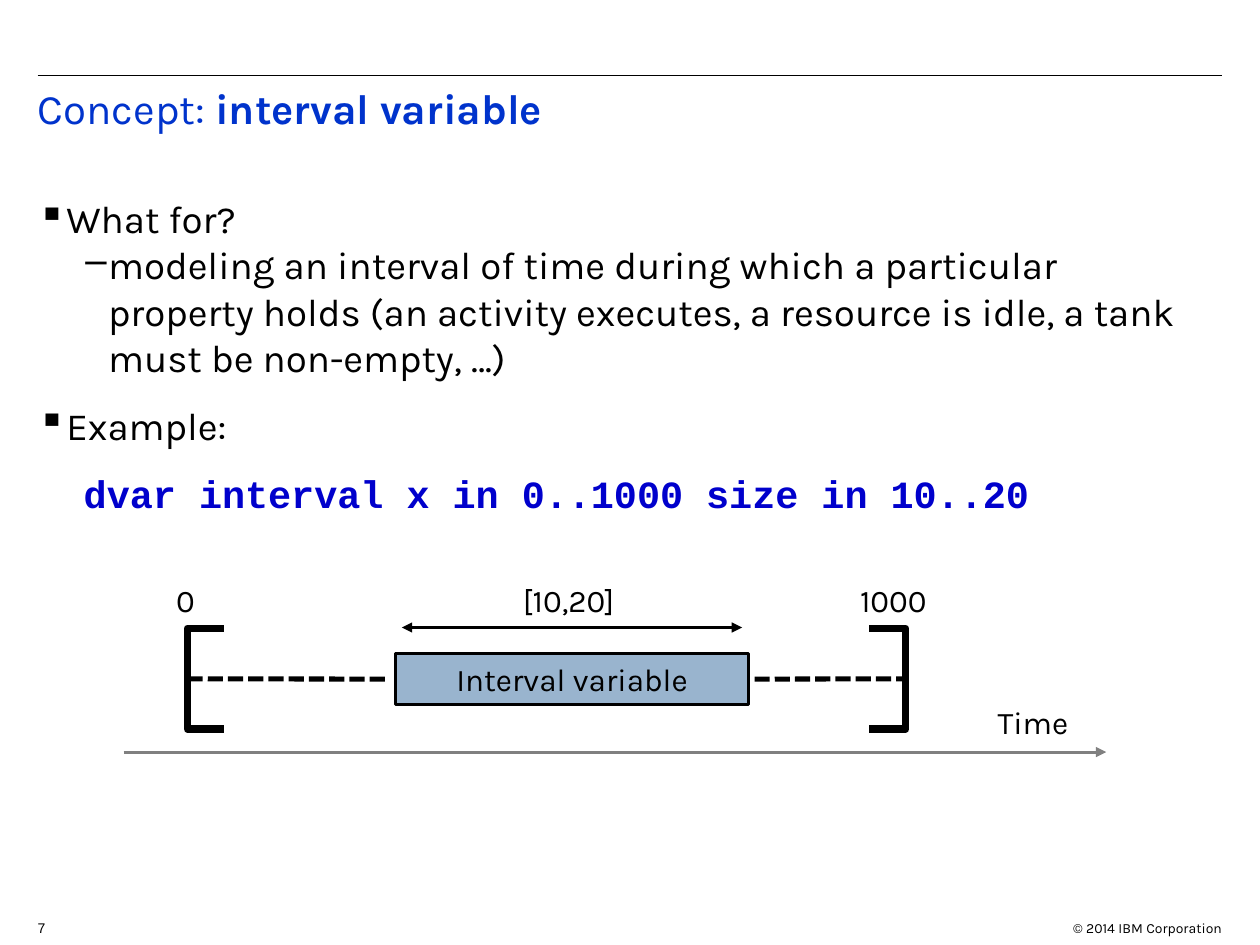
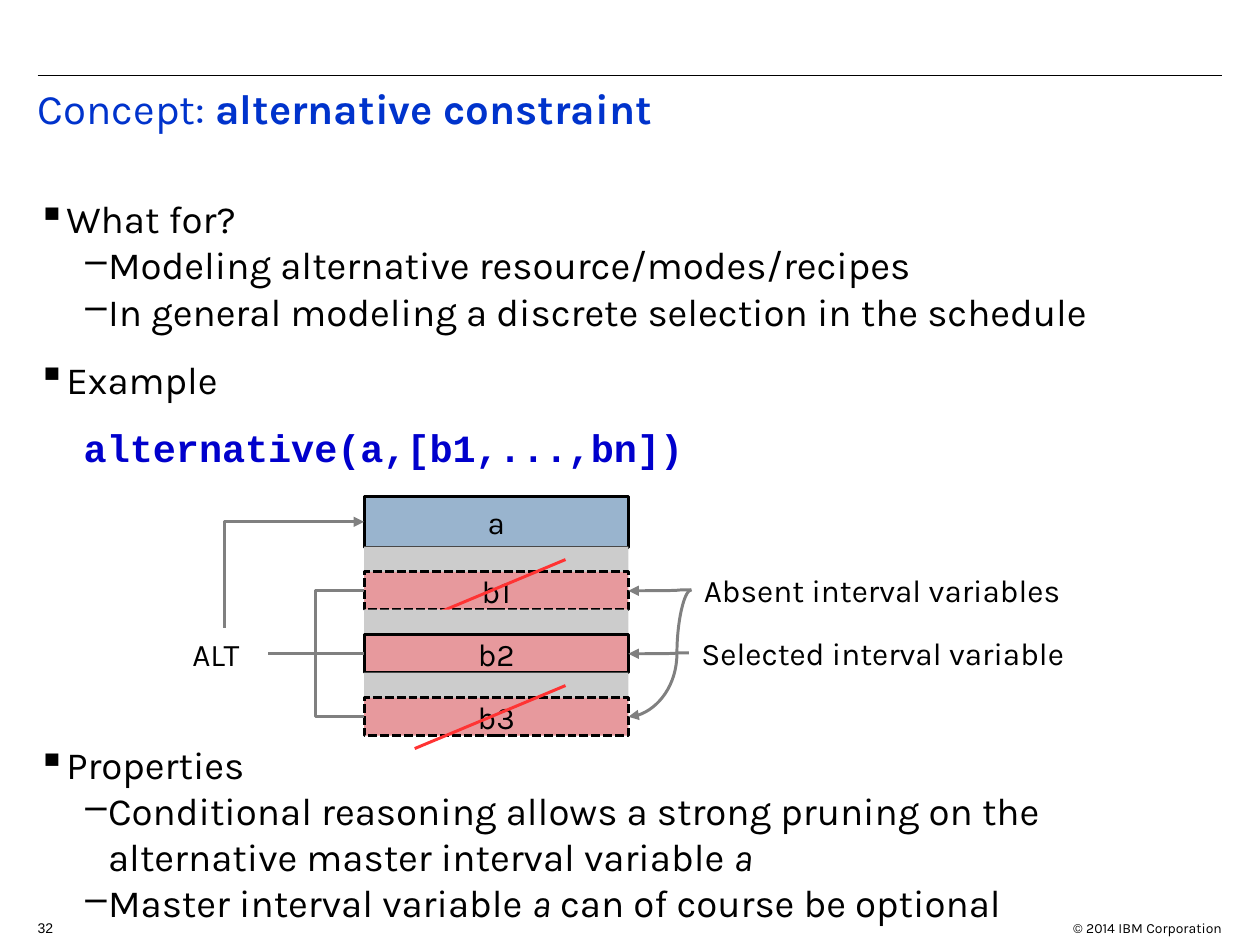
from dataclasses import dataclass

from lxml.etree import SubElement
from pptx import Presentation
from pptx.dml.color import RGBColor as Rgb
from pptx.enum.dml import MSO_LINE as Dash
from pptx.enum.shapes import MSO_CONNECTOR as Link, MSO_SHAPE as Preset
from pptx.enum.text import MSO_ANCHOR as Anchor, MSO_AUTO_SIZE as Fit, PP_ALIGN as Align
from pptx.oxml.ns import qn
from pptx.util import Cm, Pt


@dataclass(frozen=True)
class Theme:
    font: str = "Karla"
    number_font: str = "Arial"
    code_font: str = "Courier New"
    black: str = "000000"
    white: str = "FFFFFF"
    title: str = "0033CC"
    code: str = "0000CC"
    gray: str = "808080"
    band: str = "CCCCCC"
    blue: str = "004586"
    red: str = "C5000B"
    strike: str = "FF3333"
    title_size: float = 24
    body_size: float = 22
    label_size: float = 18
    footer_size: float = 8
    thin: float = 0.75
    line: float = 1.7
    dashes: float = 2.89
    bracket: float = 4.31


theme = Theme()


def draw_box(page, left, top, width, height, text="", fill=None, alpha=100, line=None,
             weight=theme.line, size=theme.label_size, font=theme.font, align=Align.LEFT):
    """Add a text box, or a rectangle when a fill is given."""
    area = Cm(left), Cm(top), Cm(width), Cm(height)
    if fill is None:
        box = page.shapes.add_textbox(*area)
    else:
        box = page.shapes.add_shape(Preset.RECTANGLE, *area)
        box.shadow.inherit = False
        box.fill.solid()
        box.fill.fore_color.rgb = Rgb.from_string(fill)
        if alpha < 100:
            color = box.element.spPr.find(".//" + qn("a:srgbClr"))
            SubElement(color, qn("a:alpha"), val=str(alpha * 1000))
        if line:
            box.line.color.rgb = Rgb.from_string(line)
            box.line.width = Pt(weight)
        else:
            box.line.fill.background()
        box.text_frame.vertical_anchor = Anchor.MIDDLE
        align = Align.CENTER
    box.text_frame.word_wrap = True
    if text:
        box.text_frame.text = text
        para = box.text_frame.paragraphs[0]
        para.alignment = align
        para.font.size = Pt(size)
        para.font.name = font
        para.font.color.rgb = Rgb.from_string(theme.black)
    return box


def draw_line(page, start, end, color=theme.black, weight=theme.line, kind=Link.STRAIGHT,
              dash=None, head=False, tail=False, bend=None, preset=None):
    """Add a connector; head and tail put arrowheads at its start and end."""
    link = page.shapes.add_connector(kind, Cm(start[0]), Cm(start[1]), Cm(end[0]), Cm(end[1]))
    link.line.color.rgb = Rgb.from_string(color)
    link.line.width = Pt(weight)
    if dash:
        link.line.dash_style = dash
    properties = link.element.spPr
    for wanted, tag in ((head, "a:headEnd"), (tail, "a:tailEnd")):
        if wanted:
            SubElement(properties.find(qn("a:ln")), qn(tag), type="triangle")
    SubElement(properties, qn("a:effectLst"))
    geometry = properties.find(qn("a:prstGeom"))
    if preset:
        geometry.set("prst", preset)
    if bend is not None:
        SubElement(geometry.find(qn("a:avLst")), qn("a:gd"), name="adj1",
                   fmla=f"val {round(bend * 100000)}")
    return link


# Text of the pages: number, title, then blocks of (top, height, paragraphs).
# Asterisks mark the emphasised words.
contents = [
    ("7", "Concept: *interval variable*", [
        (3.81, 6.8, [
            ("point", "What for?"),
            ("detail", "modeling an interval of time during which a particular property holds "
                       "(an activity executes, a resource is idle, a tank must be non-empty, …)"),
            ("point", "Example:"),
            ("code", "  dvar interval x in 0..1000 size in 10..20")])]),
    ("32", "Concept: *alternative constraint*", [
        (3.81, 5.8, [
            ("point", "What for?"),
            ("detail", "Modeling alternative resource/modes/recipes"),
            ("detail", "In general modeling a discrete selection in the schedule"),
            ("point", "Example"),
            ("code", "  alternative(a,[b1,...,bn])")]),
        (14.81, 3.9, [
            ("point", "Properties"),
            ("detail", "Conditional reasoning allows a strong pruning on the alternative "
                       "master interval variable *a*"),
            ("detail", "Master interval variable *a* can of course be optional")])]),
]
# Bullet sign, left margin, hanging indent
bullets = {"point": ("▪", 0.48, -0.48), "detail": ("–", 1.42, -0.46)}

deck = Presentation()
deck.slide_width, deck.slide_height = Cm(25.4), Cm(19.05)
pages = []

for number, heading, blocks in contents:
    page = deck.slides.add_slide(deck.slide_layouts[5])
    pages.append(page)

    # Rule, copyright line and page number
    draw_line(page, (0.76, 1.52), (24.64, 1.52), weight=theme.thin)
    draw_box(page, 21.08, 18.42, 3.81, 0.51, "© 2014 IBM Corporation",
             size=theme.footer_size, align=Align.RIGHT)
    draw_box(page, 0.51, 18.42, 1.02, 0.58, number,
             size=theme.footer_size, font=theme.number_font)

    # Title
    title = page.shapes.title
    title.left, title.top, title.width, title.height = Cm(0.51), Cm(1.65), Cm(24.89), Cm(1.78)
    frame = title.text_frame
    frame.auto_size = Fit.NONE
    frame.vertical_anchor = Anchor.TOP
    para = frame.paragraphs[0]
    para.alignment = Align.LEFT
    para.line_spacing = 0.9
    for index, part in enumerate(heading.strip("*").split("*")):
        span = para.add_run()
        span.text = part
        span.font.bold = index % 2 == 1
        span.font.size = Pt(theme.title_size)
        span.font.name = theme.font
        span.font.color.rgb = Rgb.from_string(theme.title)

    # Bulleted text
    for top, height, lines in blocks:
        frame = draw_box(page, 0.51, top, 23.62, height).text_frame
        for row, (style, text) in enumerate(lines):
            para = frame.add_paragraph() if row else frame.paragraphs[0]
            if style in bullets:
                sign, margin, indent = bullets[style]
                settings = para._p.get_or_add_pPr()
                settings.set("marL", str(Cm(margin)))
                settings.set("indent", str(Cm(indent)))
                color = SubElement(settings, qn("a:buClr"))
                SubElement(color, qn("a:srgbClr"), val=theme.black)
                SubElement(settings, qn("a:buChar"), char=sign)
            if row and style != "detail":
                para.space_before = Pt(12.5)
            is_code = style == "code"
            for index, part in enumerate(text.split("*")):
                if part:
                    span = para.add_run()
                    span.text = part
                    span.font.size = Pt(theme.body_size)
                    span.font.bold = is_code
                    span.font.italic = index % 2 == 1
                    span.font.name = theme.code_font if is_code else theme.font
                    span.font.color.rgb = Rgb.from_string(theme.code if is_code else theme.black)

interval_page, alternative_page = pages

# Interval variable: time axis and labels
draw_line(interval_page, (2.49, 15.16), (22.3, 15.16), theme.gray, tail=True)
for left, top, text in ((3.3, 11.58, "0"), (10.29, 11.58, "[10,20]"),
                        (17.09, 11.58, "1000"), (19.86, 14.05, "Time")):
    draw_box(interval_page, left, top, 3.5, 1.02, text)

# Interval variable: brackets, each a square with its inner side covered
brackets = []
for left, cover_left in ((3.78, 4.55), (16.23, 15.21)):
    brackets.append(draw_box(interval_page, left, 12.67, 2.03, 2.03, fill=theme.white,
                             line=theme.black, weight=theme.bracket))
    draw_box(interval_page, cover_left, 12.42, 2.29, 2.54, fill=theme.white, line=theme.white)

# Interval variable: range, size arrow and the interval itself
middle = 13.69
before = draw_line(interval_page, (3.78, middle), (7.85, middle),
                   weight=theme.dashes, dash=Dash.SQUARE_DOT)
before.begin_connect(brackets[0], 1)
after = draw_line(interval_page, (15.21, middle), (18.26, middle),
                  weight=theme.dashes, dash=Dash.SQUARE_DOT)
after.end_connect(brackets[1], 3)
draw_line(interval_page, (8.1, 12.65), (14.96, 12.65), head=True, tail=True)
draw_box(interval_page, 7.98, 13.18, 7.11, 1.02, "Interval variable",
         fill=theme.blue, alpha=40, line=theme.black)

# Alternative: master interval and its options
left, width = 7.34, 5.33
right = left + width
option_height, gap = 0.76, 0.51
option_tops = [11.53 + index * (option_height + gap) for index in range(3)]
centers = [top + option_height / 2 for top in option_tops]
draw_box(alternative_page, left, 10.01, width, 1.02, "a",
         fill=theme.blue, alpha=40, line=theme.black)
for top, name in zip(option_tops, ("b1", "b2", "b3")):
    draw_box(alternative_page, left, top - gap, width, gap, fill=theme.band)
    option = draw_box(alternative_page, left, top, width, option_height, name,
                      fill=theme.red, alpha=40, line=theme.black)
    if name != "b2":
        option.line.dash_style = Dash.SQUARE_DOT
        draw_line(alternative_page, (8.36, top + 1.02), (11.4, top - 0.25), theme.strike)

# Alternative: ALT node and its branches
draw_box(alternative_page, 3.63, 12.67, 1.78, 1.02, "ALT")
draw_line(alternative_page, (left, 10.52), (4.52, 12.67), theme.gray, kind=Link.ELBOW,
          head=True, preset="bentConnector2")
for center in centers:
    draw_line(alternative_page, (5.41, centers[1]), (left, center), theme.gray,
              kind=Link.ELBOW, bend=0.49)

# Alternative: notes on the right with their arrows
draw_box(alternative_page, 13.94, 11.38, 7.85, 1.02, "Absent interval variables")
draw_box(alternative_page, 13.89, 12.65, 7.98, 1.02, "Selected interval variable")
for start, center in zip(((13.94, 11.89), (13.89, 13.16), (13.94, 11.89)), centers):
    draw_line(alternative_page, start, (right, center), theme.gray, kind=Link.CURVE,
              tail=True, bend=0.23)

deck.save("out.pptx")
